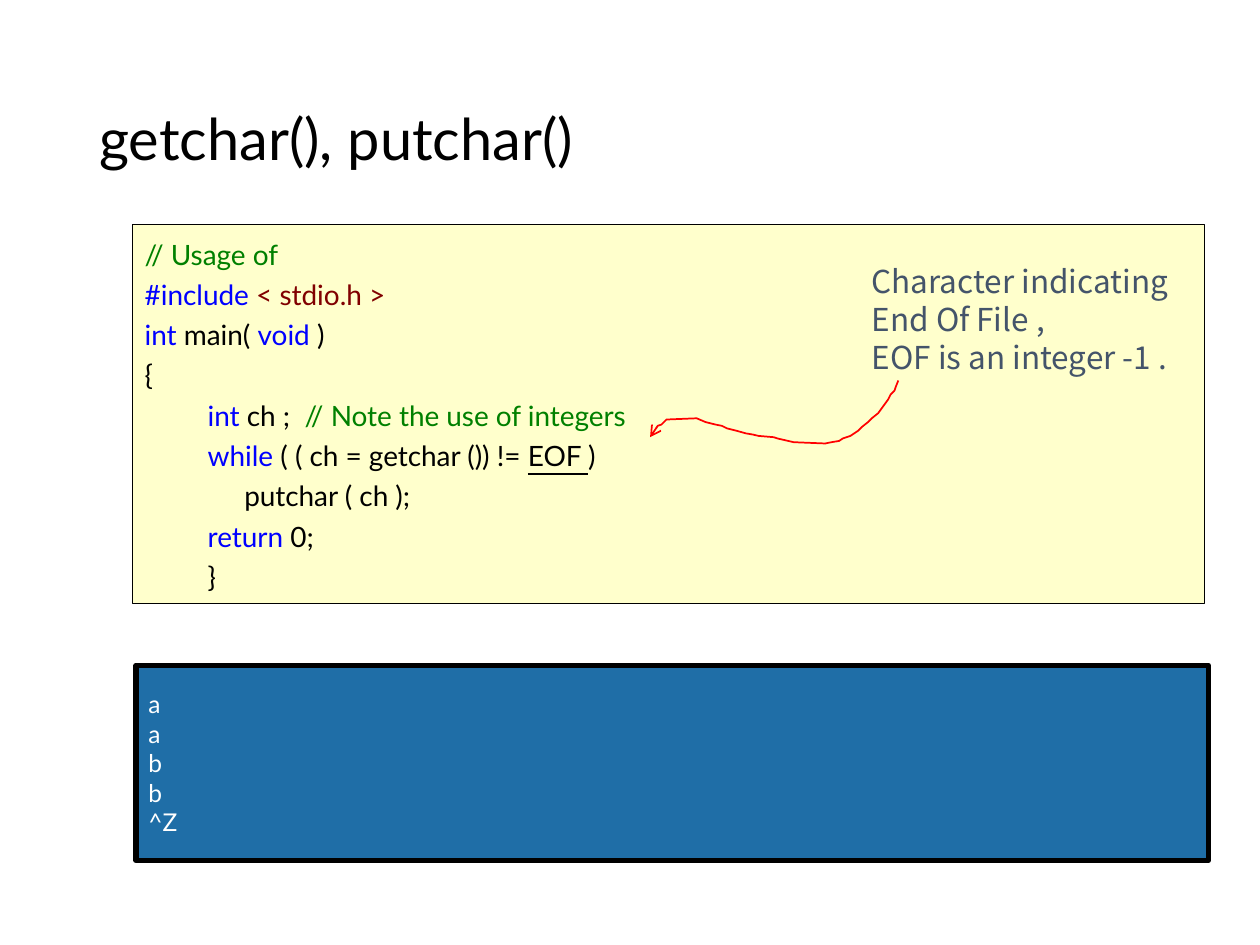
from lxml import etree
from pptx import Presentation
from pptx.dml.color import RGBColor
from pptx.enum.shapes import MSO_SHAPE
from pptx.enum.text import MSO_ANCHOR, PP_ALIGN
from pptx.oxml.ns import qn
from pptx.util import Inches, Pt

RECTANGLE = MSO_SHAPE.RECTANGLE
TOP, MIDDLE = MSO_ANCHOR.TOP, MSO_ANCHOR.MIDDLE
LEFT, JUSTIFY = PP_ALIGN.LEFT, PP_ALIGN.JUSTIFY

BLACK = RGBColor(0x00, 0x00, 0x00)
WHITE = RGBColor(0xFF, 0xFF, 0xFF)
CONSOLE_BLUE = RGBColor(0x1F, 0x6E, 0xA7)
CODE_YELLOW = RGBColor(0xFF, 0xFF, 0xCC)
COMMENT = RGBColor(0x00, 0x80, 0x00)
KEYWORD = RGBColor(0x00, 0x00, 0xFF)
HEADER = RGBColor(0x80, 0x00, 0x00)
NOTE_GREY = RGBColor(0x44, 0x54, 0x6A)
RED = RGBColor(0xFF, 0x00, 0x00)

presentation = Presentation()
presentation.slide_width, presentation.slide_height = Inches(10), Inches(7.5)
slide = presentation.slides.add_slide(presentation.slide_layouts[6])


def percent_box(left, top, width, height):
    """Turn percentages of the slide's size into lengths."""
    across, down = presentation.slide_width / 100, presentation.slide_height / 100
    return [round(length) for length in
            (left * across, top * down, width * across, height * down)]


def write_text(shape, lines, size, font="Lato", anchor=TOP, align=LEFT,
               spacing=1.0, underlined=None):
    """Write lines given as (indent in inches, [(text, colour), ...])."""
    frame = shape.text_frame
    frame.word_wrap = True
    frame.vertical_anchor = anchor
    for number, (indent, pieces) in enumerate(lines):
        paragraph = frame.add_paragraph() if number else frame.paragraphs[0]
        paragraph.alignment = align
        paragraph.line_spacing = spacing
        if indent:
            paragraph._p.get_or_add_pPr().set("marL", str(Inches(indent)))
        for text, colour in pieces:
            run = paragraph.add_run()
            run.text = text
            run.font.size, run.font.name = Pt(size), font
            run.font.color.rgb = colour
            if text == underlined:
                run.font.underline = True
            east_asian = etree.SubElement(run._r.get_or_add_rPr(), qn("a:ea"))
            east_asian.set("typeface", font)


# Console and code panels
panels = []
for box, fill, line_width in (
    ((10.8, 70.4, 85.1, 20.67), CONSOLE_BLUE, 3),
    ((10.5, 23.73, 85.1, 40.13), CODE_YELLOW, 0.25),
):
    panel = slide.shapes.add_shape(RECTANGLE, *percent_box(*box))
    panel.shadow.inherit = False
    panel.fill.solid()
    panel.fill.fore_color.rgb = fill
    panel.line.color.rgb = BLACK
    panel.line.width = Pt(line_width)
    panels.append(panel)
console, code = panels

write_text(console, [(0, [(text, WHITE)]) for text in ("a", "a", "b", "b", "^Z")],
           size=14, anchor=MIDDLE, align=JUSTIFY)

BODY, NESTED = 0.5, 0.79
code_lines = [
    (0, [("// Usage of", COMMENT)]),
    (0, [("#include ", KEYWORD), ("< stdio.h >", HEADER)]),
    (0, [("int ", KEYWORD), ("main( ", BLACK), ("void ", KEYWORD), (")", BLACK)]),
    (0, [("{", BLACK)]),
    (BODY, [("int ", KEYWORD), ("ch ;  ", BLACK),
            ("// Note the use of integers", COMMENT)]),
    (BODY, [("while ", KEYWORD), ("( ( ch = getchar ()) != ", BLACK),
            ("EOF ", BLACK), (")", BLACK)]),
    (NESTED, [("putchar ( ch );", BLACK)]),
    (BODY, [("return ", KEYWORD), ("0;", BLACK)]),
    (BODY, [("}", BLACK)]),
]
write_text(code, code_lines, size=16, spacing=1.2, underlined="EOF ")

# Title and note
title = slide.shapes.add_textbox(*percent_box(6.9, 5.33, 86.2, 19.33))
write_text(title, [(0, [("getchar(), putchar()", BLACK)])],
           size=33, anchor=MIDDLE, spacing=0.9)

note = slide.shapes.add_textbox(*percent_box(68.2, 27.07, 26.6, 13.47))
note_lines = ("Character indicating End Of File ,", "EOF is an integer -1 .")
write_text(note, [(0, [(text, NOTE_GREY)]) for text in note_lines],
           size=18, font="Noto Sans CJK KR")

# Hand-drawn arrow from the note to the code, in hundredths of an inch
arrow_points = [
    (713, 302), (711, 307), (710, 310), (707, 313), (705, 317), (697, 328),
    (692, 332), (689, 335), (684, 339), (681, 342), (675, 346), (669, 348),
    (666, 350), (660, 351), (655, 352), (630, 351), (617, 348), (614, 347),
    (602, 346), (598, 345), (592, 344), (585, 342), (577, 340), (573, 338),
    (568, 337), (560, 335), (553, 332), (529, 333), (525, 337), (522, 338),
    (519, 343), (516, 347),
]
builder = slide.shapes.build_freeform(*arrow_points[0], scale=Inches(0.01))
builder.add_line_segments(arrow_points[1:], close=False)
arrow = builder.convert_to_shape()
arrow.shadow.inherit = False
arrow.fill.background()
arrow.line.color.rgb = RED
arrow.line.width = Pt(1)
etree.SubElement(arrow.line._get_or_add_ln(), qn("a:tailEnd")).set("type", "arrow")

presentation.save("out.pptx")
